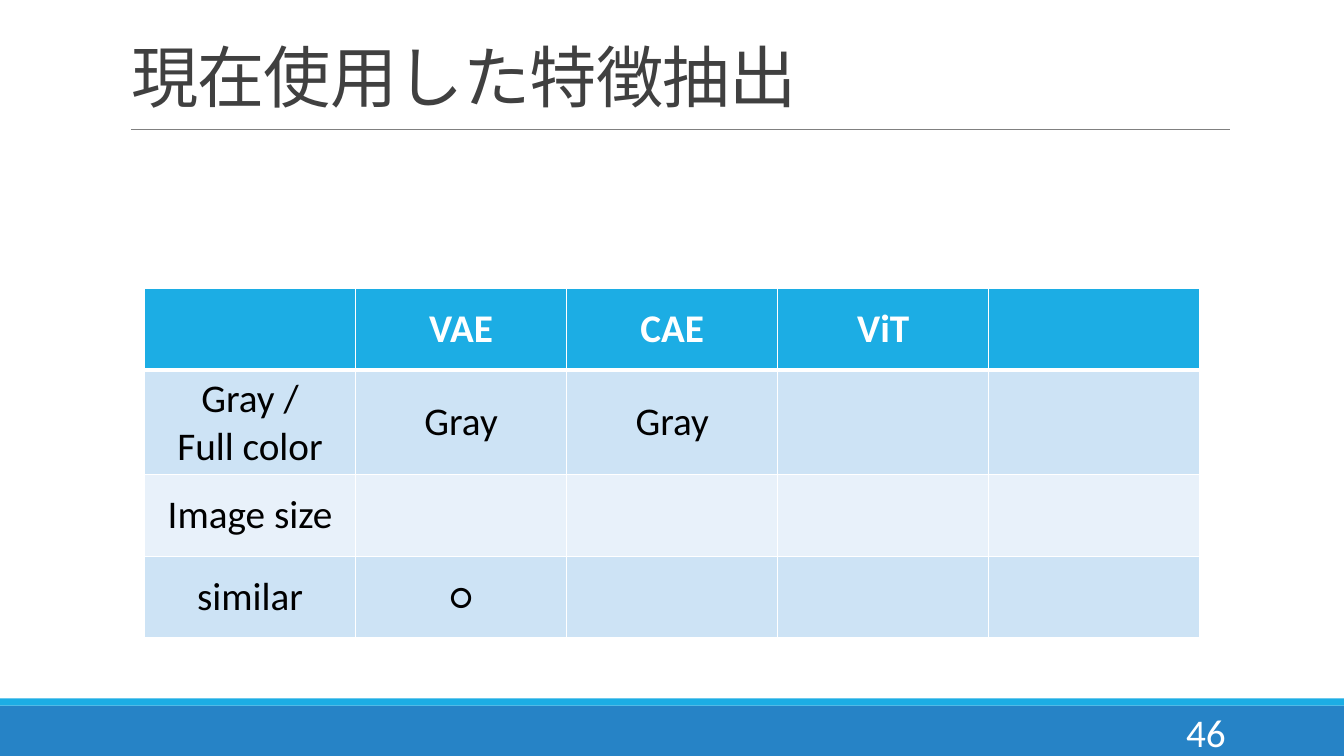
from lxml import etree
from pptx import Presentation
from pptx.dml.color import RGBColor
from pptx.enum.shapes import MSO_CONNECTOR, MSO_SHAPE
from pptx.enum.text import MSO_ANCHOR, MSO_AUTO_SIZE, PP_ALIGN
from pptx.oxml.ns import qn
from pptx.util import Cm, Pt

LINE = MSO_CONNECTOR.STRAIGHT
RECT = MSO_SHAPE.RECTANGLE
BOTTOM, MIDDLE = MSO_ANCHOR.BOTTOM, MSO_ANCHOR.MIDDLE
LEFT, CENTER, RIGHT = PP_ALIGN.LEFT, PP_ALIGN.CENTER, PP_ALIGN.RIGHT
NO_AUTOFIT = MSO_AUTO_SIZE.NONE

WHITE = RGBColor(0xFF, 0xFF, 0xFF)
BLACK = RGBColor(0x00, 0x00, 0x00)
TITLE_GRAY = RGBColor(0x40, 0x40, 0x40)
RULE_GRAY = RGBColor(0x80, 0x80, 0x80)
BLUE = RGBColor(0x26, 0x83, 0xC6)
CYAN = RGBColor(0x1C, 0xAD, 0xE4)
ROW_DARK = RGBColor(0xCD, 0xE3, 0xF5)
ROW_LIGHT = RGBColor(0xE8, 0xF1, 0xFA)

FEATURES = [
    ["", "VAE", "CAE", "ViT", ""],
    ["Gray /\nFull color", "Gray", "Gray", "", ""],
    ["Image size", "", "", "", ""],
    ["similar", "○", "", "", ""],
]


class SlideBuilder:
    font = "Calibri"
    text_size = 28
    title_size = 48

    def __init__(self, prs):
        self.slide = prs.slides.add_slide(prs.slide_layouts[5])
        self.shapes = self.slide.shapes

    def set_text(self, tf, text, size, color, align, bold=False):
        tf.text = text
        for p in tf.paragraphs:
            p.alignment = align
            for r in p.runs:
                r.font.name = self.font
                r.font.size = Pt(size)
                r.font.bold = bold
                r.font.color.rgb = color

    def band(self, top, width, height, color):
        sp = self.shapes.add_shape(RECT, 0, top, width, height)
        sp.shadow.inherit = False
        sp.fill.solid()
        sp.fill.fore_color.rgb = color
        sp.line.fill.background()

    def rule(self, left, right, y):
        line = self.shapes.add_connector(LINE, left, y, right, y)
        line.line.color.rgb = RULE_GRAY
        line.line.width = Pt(0.5)
        etree.SubElement(line._element.spPr, qn("a:effectLst"))

    def title(self, text, left, top, width, height):
        sp = self.shapes.title
        sp.left, sp.top, sp.width, sp.height = left, top, width, height
        tf = sp.text_frame
        self.set_text(tf, text, self.title_size, TITLE_GRAY, LEFT)
        tf.auto_size = NO_AUTOFIT
        tf.vertical_anchor = BOTTOM
        p = tf.paragraphs[0]
        p.line_spacing = 0.85
        p.runs[0].font._element.set("spc", "-50")

    def page_number(self, text, left, top, width, height):
        tf = self.shapes.add_textbox(left, top, width, height).text_frame
        tf.word_wrap = True
        tf.vertical_anchor = MIDDLE
        self.set_text(tf, text, self.text_size, WHITE, RIGHT)

    def cell_borders(self, cell, bottom_width):
        """Add white borders; the bottom one takes its own width in points."""
        tc_pr = cell._tc.get_or_add_tcPr()
        widths = {"a:lnL": 1, "a:lnR": 1, "a:lnT": 1, "a:lnB": bottom_width}
        for index, (tag, width) in enumerate(widths.items()):
            ln = etree.Element(qn(tag), w=str(Pt(width)))
            fill = etree.SubElement(ln, qn("a:solidFill"))
            etree.SubElement(fill, qn("a:srgbClr"), val=str(WHITE))
            tc_pr.insert(index, ln)

    def table(self, rows, left, top, col_width, row_height):
        n_rows, n_cols = len(rows), len(rows[0])
        table = self.shapes.add_table(n_rows, n_cols, left, top,
                                      col_width * n_cols,
                                      row_height * n_rows).table
        for i, row in enumerate(rows):
            header = i == 0
            fill = CYAN if header else ROW_DARK if i % 2 else ROW_LIGHT
            for j, text in enumerate(row):
                cell = table.cell(i, j)
                cell.fill.solid()
                cell.fill.fore_color.rgb = fill
                cell.vertical_anchor = MIDDLE
                self.cell_borders(cell, 3 if header else 1)
                if text:
                    self.set_text(cell.text_frame, text, self.text_size,
                                  WHITE if header else BLACK, CENTER, header)


def main():
    prs = Presentation()
    prs.slide_width, prs.slide_height = Cm(33.87), Cm(19.05)
    s = SlideBuilder(prs)
    s.band(Cm(17.78), prs.slide_width, Cm(1.27), BLUE)
    s.band(Cm(17.6), prs.slide_width, Cm(0.18), CYAN)
    s.rule(Cm(3.3), Cm(30.99), Cm(3.25))
    s.title("現在使用した特徴抽出", Cm(3.05), Cm(0.79), Cm(27.94), Cm(2.26))
    s.page_number("46", Cm(27.51), Cm(17.93), Cm(3.63), Cm(1.02))
    s.table(FEATURES, Cm(3.64), Cm(7.27), Cm(5.32), Cm(2.06))
    prs.save("out.pptx")


if __name__ == "__main__":
    main()
